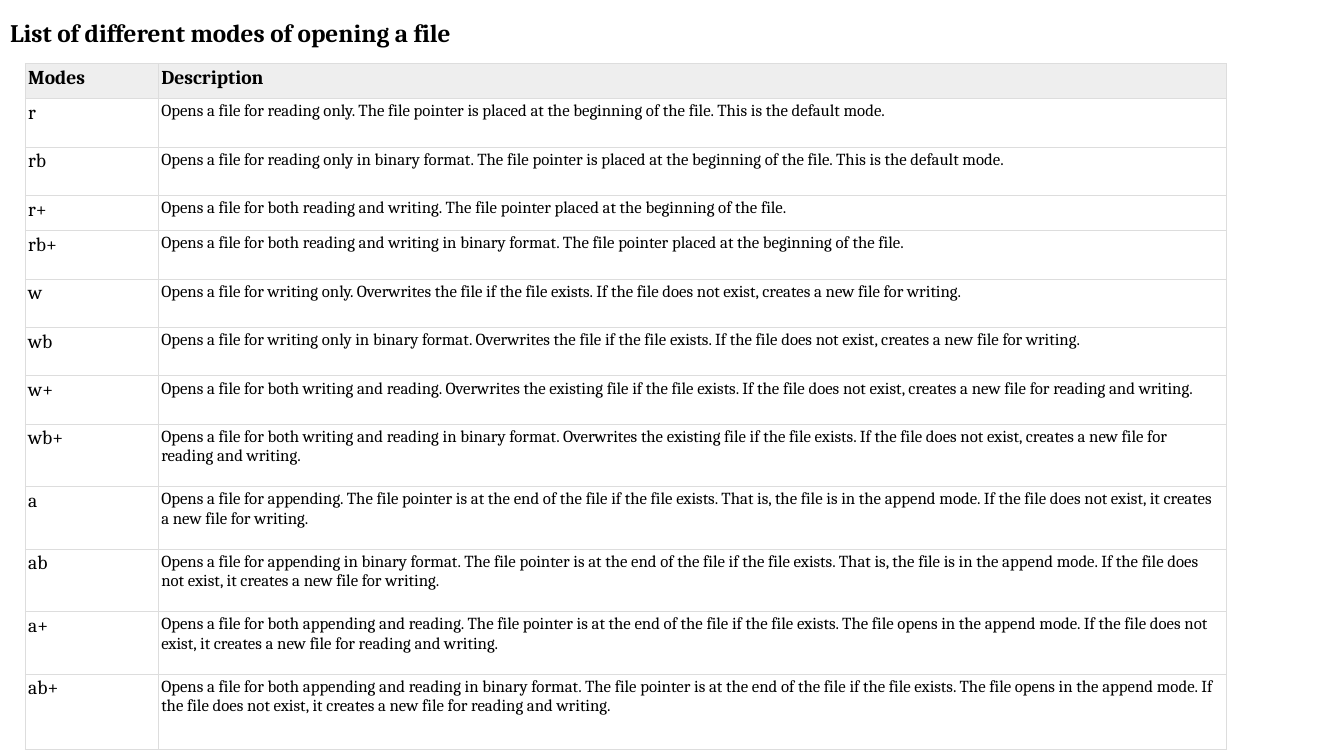
"""Build a slide listing the modes of opening a file."""
from lxml.etree import SubElement
from pptx import Presentation
from pptx.dml.color import RGBColor
from pptx.enum.text import MSO_ANCHOR, MSO_AUTO_SIZE, PP_ALIGN
from pptx.oxml.ns import qn
from pptx.util import Inches, Pt

TITLE = "List of different modes of opening a file"
HEADER = ("Modes", "Description")
MODES = [
    ("r", "Opens a file for reading only. The file pointer is placed at the beginning of the file. "
          "This is the default mode."),
    ("rb", "Opens a file for reading only in binary format. The file pointer is placed at the beginning "
           "of the file. This is the default mode."),
    ("r+", "Opens a file for both reading and writing. The file pointer placed at the beginning of the file."),
    ("rb+", "Opens a file for both reading and writing in binary format. The file pointer placed at the "
            "beginning of the file."),
    ("w", "Opens a file for writing only. Overwrites the file if the file exists. If the file does not "
          "exist, creates a new file for writing."),
    ("wb", "Opens a file for writing only in binary format. Overwrites the file if the file exists. "
           "If the file does not exist, creates a new file for writing."),
    ("w+", "Opens a file for both writing and reading. Overwrites the existing file if the file exists. "
           "If the file does not exist, creates a new file for reading and writing."),
    ("wb+", "Opens a file for both writing and reading in binary format. Overwrites the existing file if "
            "the file exists. If the file does not exist, creates a new file for reading and writing."),
    ("a", "Opens a file for appending. The file pointer is at the end of the file if the file exists. "
          "That is, the file is in the append mode. If the file does not exist, it creates a new file "
          "for writing."),
    ("ab", "Opens a file for appending in binary format. The file pointer is at the end of the file if "
           "the file exists. That is, the file is in the append mode. If the file does not exist, it "
           "creates a new file for writing."),
    ("a+", "Opens a file for both appending and reading. The file pointer is at the end of the file if "
           "the file exists. The file opens in the append mode. If the file does not exist, it creates "
           "a new file for reading and writing."),
    ("ab+", "Opens a file for both appending and reading in binary format. The file pointer is at the end "
            "of the file if the file exists. The file opens in the append mode. If the file does not "
            "exist, it creates a new file for reading and writing."),
]
COL_WIDTHS = (1.32, 10.59)
ROW_HEIGHTS = [0.35, 0.48, 0.48, 0.35] + [0.48] * 4 + [0.62] * 4 + [0.75]
JUSTIFIED_ROWS = (1, 2, 3)
COLORS = {"text": "000000", "header": "EEEEEE", "border": "DDDDDD"}
FONT = "Cambria"


def add_text(p, text, size, bold=False):
    r = p.add_run()
    r.text = text
    r.font.name = FONT
    r.font.size = Pt(size)
    r.font.bold = bold
    r.font.color.rgb = RGBColor.from_string(COLORS["text"])


def add_borders(cell):
    tc_pr = cell._tc.get_or_add_tcPr()
    for side in ("a:lnL", "a:lnR", "a:lnT", "a:lnB"):
        ln = SubElement(tc_pr, qn(side), w=str(Pt(0.75)))
        fill = SubElement(ln, qn("a:solidFill"))
        SubElement(fill, qn("a:srgbClr"), val=COLORS["border"])


def add_title(slide):
    title = slide.shapes.title
    title.left, title.top = Inches(0), Inches(0.12)
    title.width, title.height = Inches(13.33), Inches(0.4)
    tf = title.text_frame
    tf.word_wrap = True
    tf.auto_size = MSO_AUTO_SIZE.NONE
    tf.vertical_anchor = MSO_ANCHOR.TOP
    p = tf.paragraphs[0]
    p.alignment = PP_ALIGN.LEFT
    add_text(p, TITLE, 18, bold=True)


def add_modes_table(slide):
    rows = [HEADER] + MODES
    table = slide.shapes.add_table(len(rows), len(HEADER), Inches(0.25), Inches(0.63),
                                   Inches(sum(COL_WIDTHS)), Inches(sum(ROW_HEIGHTS))).table
    table.first_row = table.horz_banding = False
    for col, width in zip(table.columns, COL_WIDTHS):
        col.width = Inches(width)
    for i, (texts, height) in enumerate(zip(rows, ROW_HEIGHTS)):
        table.rows[i].height = Inches(height)
        for j, text in enumerate(texts):
            cell = table.cell(i, j)
            cell.margin_left = cell.margin_right = Inches(0.03)
            cell.margin_top = cell.margin_bottom = Inches(0.03)
            add_borders(cell)
            if i == 0:
                cell.fill.solid()
                cell.fill.fore_color.rgb = RGBColor.from_string(COLORS["header"])
            else:
                cell.fill.background()
            p = cell.text_frame.paragraphs[0]
            justified = j == 1 and i in JUSTIFIED_ROWS
            p.alignment = PP_ALIGN.JUSTIFY if justified else PP_ALIGN.LEFT
            add_text(p, text, 12 if i and j else 14, bold=i == 0)


def main():
    prs = Presentation()
    prs.slide_width, prs.slide_height = Inches(13.33), Inches(7.5)
    slide = prs.slides.add_slide(prs.slide_layouts[5])
    add_title(slide)
    add_modes_table(slide)
    prs.save("out.pptx")


if __name__ == "__main__":
    main()
